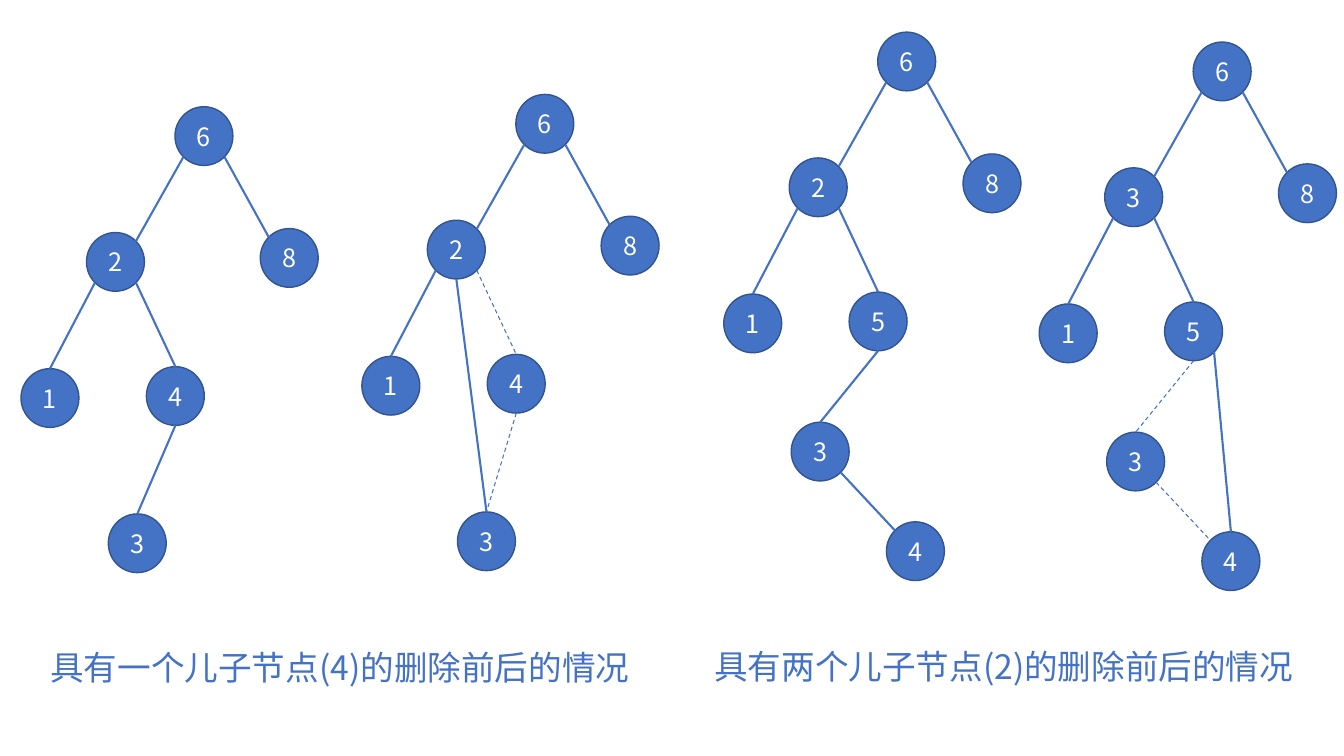
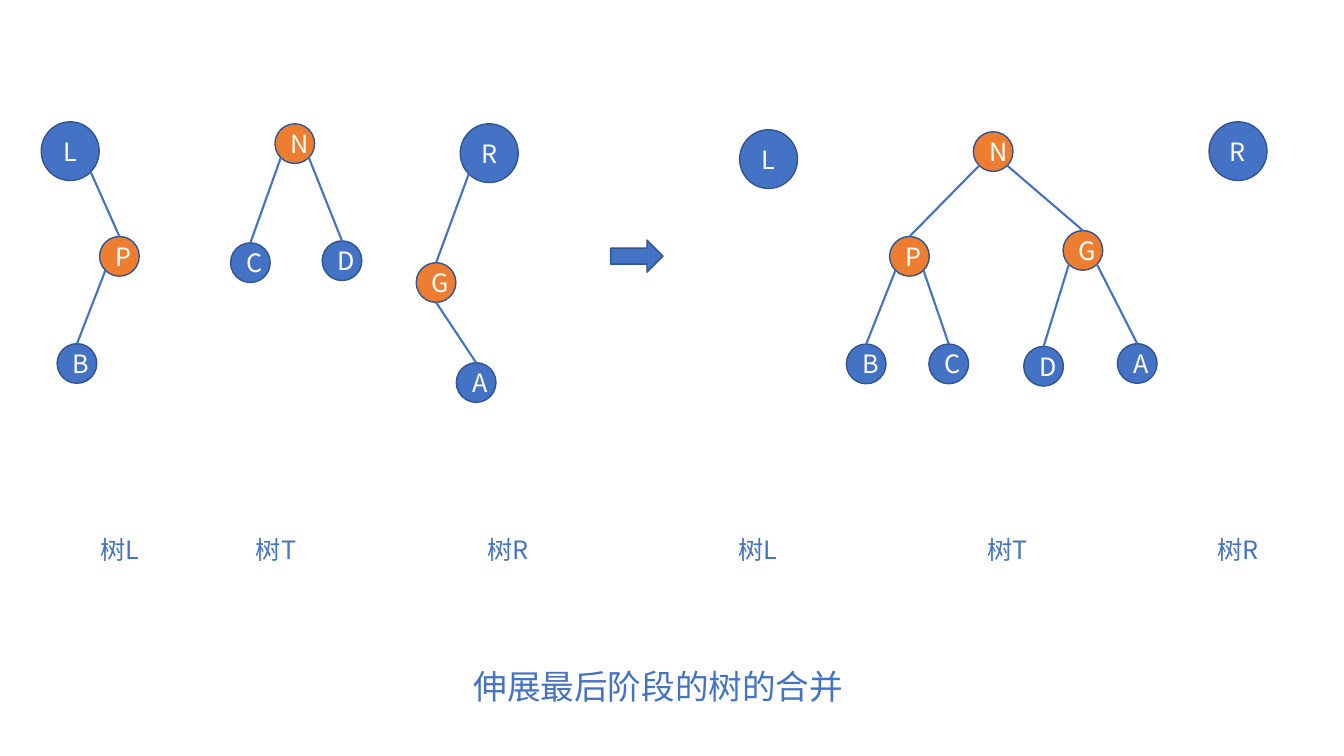
from lxml.etree import SubElement
from pptx import Presentation
from pptx.dml.color import RGBColor
from pptx.enum.dml import MSO_LINE
from pptx.enum.shapes import MSO_CONNECTOR, MSO_SHAPE
from pptx.enum.text import MSO_ANCHOR, MSO_AUTO_SIZE, PP_ALIGN
from pptx.oxml.ns import qn
from pptx.util import Cm, Pt

COLORS = {"blue": "4472C4", "outline": "325491", "orange": "ED7D31", "white": "FFFFFF"}
FONT = "Noto Sans CJK SC"
LARGE, SMALL = (1.46, 1.48), (1.0, 1.0)
DIAGONAL = 0.5 ** 0.5

# Points on a circle where edges may end, in units of its radii
SITES = {
    "top": (0, -1), "bottom": (0, 1),
    "top left": (-DIAGONAL, -DIAGONAL), "top right": (DIAGONAL, -DIAGONAL),
    "bottom left": (-DIAGONAL, DIAGONAL), "bottom right": (DIAGONAL, DIAGONAL),
}

# Slide 1: node places relative to the root, and the edges all trees share
OFFSETS = {"root": (0, 0), "left": (-2.23, 3.17), "right": (2.15, 3.07),
           "outer": (-3.88, 6.6), "inner": (-0.72, 6.55)}
ONE_CHILD_BEFORE = OFFSETS | {"low": (-1.68, 10.26)}
ONE_CHILD_AFTER = OFFSETS | {"low": (-1.47, 10.52)}
TWO_CHILDREN = OFFSETS | {"low": (-2.18, 9.83), "lowest": (0.22, 12.34)}
COMMON_EDGES = [("root", "bottom left", "left", "top right"),
                ("root", "bottom right", "right", "top left"),
                ("left", "bottom left", "outer", "top")]
TO_INNER = ("left", "bottom right", "inner", "top")
TO_LOW = ("inner", "bottom", "low", "top")
TO_LOWEST = ("low", "bottom right", "lowest", "top left")

# Root place, labels, offsets, solid edges, dashed edges
DELETION_TREES = [
    ((5.14, 3.43), "628143", ONE_CHILD_BEFORE, [TO_INNER, TO_LOW], []),
    ((13.73, 3.12), "628143", ONE_CHILD_AFTER,
     [("left", "bottom", "low", "top")], [TO_INNER, TO_LOW]),
    ((22.85, 1.55), "6281534", TWO_CHILDREN, [TO_INNER, TO_LOW, TO_LOWEST], []),
    ((30.8, 1.8), "6381534", TWO_CHILDREN,
     [TO_INNER, ("inner", "bottom right", "lowest", "top")], [TO_LOW, TO_LOWEST]),
]

# Slide 2: node places and edges before and after the merge
MERGE_STAGES = [
    ({"L": (1.77, 3.81), "P": (3.01, 6.46), "B": (1.94, 9.16),
      "N": (7.43, 3.62), "C": (6.31, 6.62), "D": (8.62, 6.57),
      "R": (12.33, 3.86), "G": (10.99, 7.12), "A": (12, 9.64)},
     [("L", "bottom right", "P", "top"), ("P", "bottom left", "B", "top"),
      ("N", "bottom left", "C", "top"), ("N", "bottom right", "D", "top"),
      ("R", "bottom left", "G", "top"), ("G", "bottom", "A", "top")]),
    ({"L": (19.37, 4.01), "N": (25.03, 3.82), "P": (22.92, 6.46),
      "G": (27.29, 6.31), "B": (21.83, 9.17), "C": (23.91, 9.17),
      "D": (26.3, 9.23), "A": (28.66, 9.16), "R": (31.2, 3.81)},
     [("N", "bottom left", "P", "top"), ("N", "bottom right", "G", "top"),
      ("P", "bottom left", "B", "top"), ("P", "bottom right", "C", "top"),
      ("G", "bottom left", "D", "top"), ("G", "bottom right", "A", "top")]),
]
TREE_LABELS = [("树L", 1.4), ("树T", 5.33), ("树R", 11.18),
               ("树L", 17.48), ("树T", 23.77), ("树R", 29.57)]


def rgb(name):
    return RGBColor.from_string(COLORS[name])


def write(tf, text, size, color):
    tf.text = text
    p = tf.paragraphs[0]
    p.alignment = PP_ALIGN.CENTER
    r = p.runs[0]
    r.font.size = Pt(size)
    r.font.color.rgb = rgb(color)
    r.font.name = FONT
    SubElement(r.font._element, qn("a:ea"), typeface=FONT)


def add_filled(s, preset, left, top, width, height, fill):
    sp = s.shapes.add_shape(preset, Cm(left), Cm(top), Cm(width), Cm(height))
    sp.shadow.inherit = False
    sp.fill.solid()
    sp.fill.fore_color.rgb = rgb(fill)
    sp.line.color.rgb = rgb("outline")
    sp.line.width = Pt(1)
    return sp


def add_node(s, label, center, size, fill):
    (x, y), (w, h) = center, size
    sp = add_filled(s, MSO_SHAPE.OVAL, x - w / 2, y - h / 2, w, h, fill)
    sp.text_frame.vertical_anchor = MSO_ANCHOR.MIDDLE
    write(sp.text_frame, label, 18, "white")


def site_point(center, size, site):
    return [Cm(c + d / 2 * u) for c, d, u in zip(center, size, SITES[site])]


def add_edge(s, start, end, dashed=False):
    """Join two (center, size, site) ends with a straight line."""
    line = s.shapes.add_connector(MSO_CONNECTOR.STRAIGHT,
                                  *site_point(*start), *site_point(*end))
    line.line.color.rgb = rgb("blue")
    line.line.width = Pt(0.75 if dashed else 1.5)
    if dashed:
        line.line.dash_style = MSO_LINE.DASH
    SubElement(line._element.spPr, qn("a:effectLst"))


def add_edges(s, edges, places, sizes, dashed=False):
    for a, a_site, b, b_site in edges:
        add_edge(s, (places[a], sizes[a], a_site), (places[b], sizes[b], b_site), dashed)


def add_text(s, text, left, top, width, height, size):
    tf = s.shapes.add_textbox(Cm(left), Cm(top), Cm(width), Cm(height)).text_frame
    tf.word_wrap = True
    tf.auto_size = MSO_AUTO_SIZE.SHAPE_TO_FIT_TEXT
    write(tf, text, size, "blue")


def add_caption(s, text, left, top, width):
    add_text(s, text, left, top, width, 1.27, 24)


def add_deletion_tree(s, root, labels, offsets, solid, dashed):
    places = {k: (root[0] + dx, root[1] + dy) for k, (dx, dy) in offsets.items()}
    sizes = dict.fromkeys(places, LARGE)
    for label, center in zip(labels, places.values()):
        add_node(s, label, center, LARGE, "blue")
    add_edges(s, COMMON_EDGES + solid, places, sizes)
    add_edges(s, dashed, places, sizes, dashed=True)


def add_merge_stage(s, places, edges):
    sizes = {k: LARGE if k in "LR" else SMALL for k in places}
    for label, center in places.items():
        add_node(s, label, center, sizes[label], "orange" if label in "NPG" else "blue")
    add_edges(s, edges, places, sizes)


def build_deletion_slide(s):
    for tree in DELETION_TREES:
        add_deletion_tree(s, *tree)
    add_caption(s, "具有一个儿子节点(4)的删除前后的情况", 0.97, 16.18, 15.19)
    add_caption(s, "具有两个儿子节点(2)的删除前后的情况", 17.7, 16.15, 15.19)


def build_merge_slide(s):
    for stage in MERGE_STAGES:
        add_merge_stage(s, *stage)
    add_filled(s, MSO_SHAPE.RIGHT_ARROW, 15.39, 6.05, 1.32, 0.81, "blue")
    for text, left in TREE_LABELS:
        add_text(s, text, left, 13.34, 3.25, 1.02, 18)
    add_caption(s, "伸展最后阶段的树的合并", 0.97, 16.66, 31.24)


def main():
    prs = Presentation()
    prs.slide_width, prs.slide_height = Cm(33.87), Cm(19.05)
    for build in (build_deletion_slide, build_merge_slide):
        build(prs.slides.add_slide(prs.slide_layouts[6]))
    prs.save("out.pptx")


if __name__ == "__main__":
    main()
